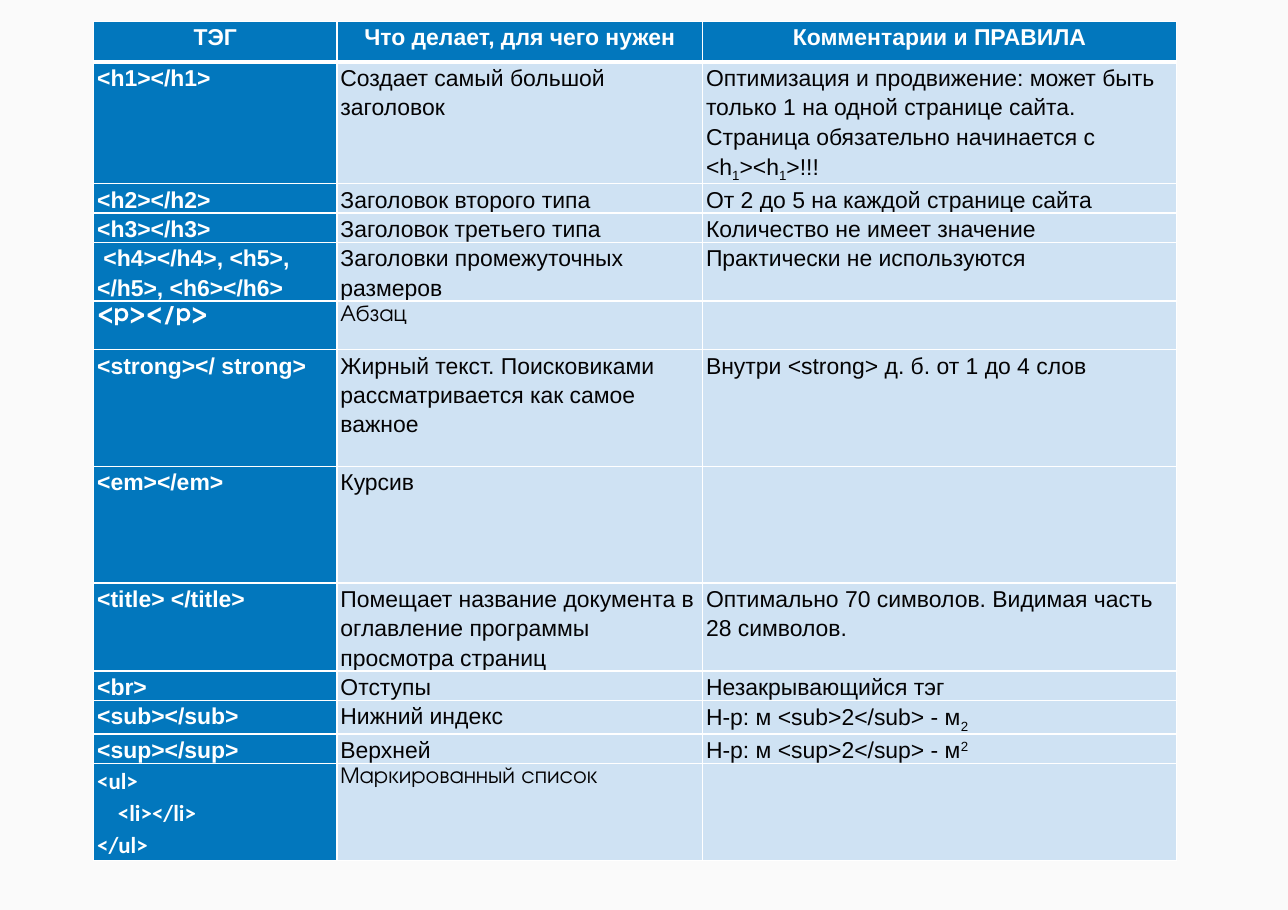
"""Build a one-slide reference table of HTML tags."""
from dataclasses import dataclass

from lxml import etree
from pptx import Presentation
from pptx.dml.color import RGBColor
from pptx.enum.text import PP_ALIGN
from pptx.oxml.ns import qn
from pptx.table import _Cell
from pptx.util import Cm, Pt

CENTER, LEFT = PP_ALIGN.CENTER, PP_ALIGN.LEFT
BACKGROUND, WHITE, INK = "FAFAFA", "FFFFFF", "040304"
BLUE, PALE_BLUE = "0277BD", "CFE2F3"
ARIAL, CALIBRI, ADVENTOR = "Arial", "Calibri", "TeX Gyre Adventor"
SUBSCRIPT, SUPERSCRIPT = -25000, 30000
THIN, THICK = Pt(1), Pt(3)
TEXT_SIZE = Pt(15)
SIDE_MARGIN = Cm(0.08)
COLUMN_WIDTHS = (5.61, 8.43, 10.93)
HEADINGS = ("ТЭГ", "Что делает, для чего нужен", "Комментарии и ПРАВИЛА")
HEADING_HEIGHT = 0.94


@dataclass(frozen=True)
class Span:
    text: str
    baseline: int = 0


@dataclass(frozen=True)
class Line:
    spans: tuple[Span, ...]
    indent: float = 0


@dataclass(frozen=True)
class Look:
    fill: str
    color: str
    bold: bool
    align: PP_ALIGN = LEFT


@dataclass(frozen=True)
class TagRow:
    height: float
    tag: tuple[Line, ...]
    purpose: str
    comment: tuple[Span, ...] = ()
    tag_font: str = ARIAL
    purpose_font: str = ARIAL


HEADING_LOOK = Look(BLUE, WHITE, True, CENTER)
TAG_LOOK = Look(BLUE, WHITE, True)
BODY_LOOK = Look(PALE_BLUE, INK, False)


def line(text: str, indent: float = 0) -> Line:
    """Make a line of plain text."""
    return Line((Span(text),), indent)


TAG_ROWS = (
    TagRow(2.79, (line("<h1></h1>"),), "Создает самый большой заголовок",
           (Span("Оптимизация и продвижение: может быть только 1 на одной странице сайта. "
                 "Страница обязательно начинается с <h"),
            Span("1", SUBSCRIPT), Span("><h"), Span("1", SUBSCRIPT), Span(">!!!"))),
    TagRow(0.67, (line("<h2></h2>"),), "Заголовок второго типа",
           (Span("От 2 до 5 на каждой странице сайта"),)),
    TagRow(0.67, (line("<h3></h3>"),), "Заголовок третьего типа",
           (Span("Количество не имеет значение"),)),
    TagRow(1.35, (line(" <h4></h4>, <h5>, </h5>, <h6></h6>"),),
           "Заголовки промежуточных размеров", (Span("Практически не используются"),)),
    TagRow(1.12, (line("<p></p>"),), "Абзац", tag_font=ADVENTOR, purpose_font=ADVENTOR),
    TagRow(2.69, (line("<strong></ strong>"),),
           "Жирный текст. Поисковиками рассматривается как самое важное",
           (Span("Внутри <strong> д. б. от 1 до 4 слов"),)),
    TagRow(2.69, (line("<em></em>"),), "Курсив"),
    TagRow(2.02, (line("<title> </title>"),),
           "Помещает название документа в оглавление программы просмотра страниц",
           (Span("Оптимально 70 символов. Видимая часть 28 символов."),)),
    TagRow(0.67, (line("<br>"),), "Отступы", (Span("Незакрывающийся тэг"),)),
    TagRow(0.76, (line("<sub></sub>"),), "Нижний индекс",
           (Span("Н-р: м <sub>2</sub> - м"), Span("2", SUBSCRIPT))),
    TagRow(0.67, (line("<sup></sup>"),), "Верхней",
           (Span("Н-р: м <sup>2</sup> - м"), Span("2", SUPERSCRIPT))),
    TagRow(2.22, (line("<ul>"), line("<li></li>", 0.48), line("</ul>")),
           "Маркированный список", tag_font=CALIBRI, purpose_font=ADVENTOR),
)


def rgb(value: str) -> RGBColor:
    """Turn a hex string into a colour."""
    return RGBColor.from_string(value)


def draw_borders(cell: _Cell, top: int, bottom: int) -> None:
    """Draw white borders around a cell."""
    properties = cell._tc.get_or_add_tcPr()
    for side, width in (("L", THIN), ("R", THIN), ("T", top), ("B", bottom)):
        border = etree.SubElement(properties, qn(f"a:ln{side}"), w=str(width))
        fill = etree.SubElement(border, qn("a:solidFill"))
        etree.SubElement(fill, qn("a:srgbClr"), val=WHITE)


def fill_cell(cell: _Cell, lines: tuple[Line, ...], look: Look, font_name: str = ARIAL) -> None:
    """Fill a cell and write its lines."""
    cell.fill.solid()
    cell.fill.fore_color.rgb = rgb(look.fill)
    cell.margin_left = cell.margin_right = SIDE_MARGIN
    cell.margin_top = cell.margin_bottom = 0
    frame = cell.text_frame
    for index, content in enumerate(lines):
        paragraph = frame.add_paragraph() if index else frame.paragraphs[0]
        paragraph.alignment = look.align
        paragraph.line_spacing = 1.15
        paragraph.font.name = font_name
        paragraph.font.size = TEXT_SIZE
        paragraph.font.bold = look.bold
        paragraph.font.color.rgb = rgb(look.color)
        if content.indent:
            paragraph._p.get_or_add_pPr().set("marL", str(Cm(content.indent)))
        for span in content.spans:
            run = paragraph.add_run()
            run.text = span.text
            if span.baseline:
                run._r.get_or_add_rPr().set("baseline", str(span.baseline))


def main() -> None:
    """Create the deck and save it."""
    deck = Presentation()
    deck.slide_width, deck.slide_height = Cm(29.7), Cm(20.98)
    page = deck.slides.add_slide(deck.slide_layouts[6])
    page.background.fill.solid()
    page.background.fill.fore_color.rgb = rgb(BACKGROUND)

    heights = (HEADING_HEIGHT, *(row.height for row in TAG_ROWS))
    table = page.shapes.add_table(len(heights), len(COLUMN_WIDTHS), Cm(2.16), Cm(0.49),
                                  Cm(sum(COLUMN_WIDTHS)), Cm(sum(heights))).table
    table.first_row = table.horz_banding = False
    for column, width in zip(table.columns, COLUMN_WIDTHS):
        column.width = Cm(width)
    for index, (row, height) in enumerate(zip(table.rows, heights)):
        row.height = Cm(height)
        for cell in row.cells:
            draw_borders(cell, THICK if index == 1 else THIN, THIN if index else THICK)

    for column, heading in enumerate(HEADINGS):
        fill_cell(table.cell(0, column), (line(heading),), HEADING_LOOK)
    for index, row in enumerate(TAG_ROWS, start=1):
        fill_cell(table.cell(index, 0), row.tag, TAG_LOOK, row.tag_font)
        fill_cell(table.cell(index, 1), (line(row.purpose),), BODY_LOOK, row.purpose_font)
        fill_cell(table.cell(index, 2), (Line(row.comment),), BODY_LOOK)

    deck.save("out.pptx")


if __name__ == "__main__":
    main()
